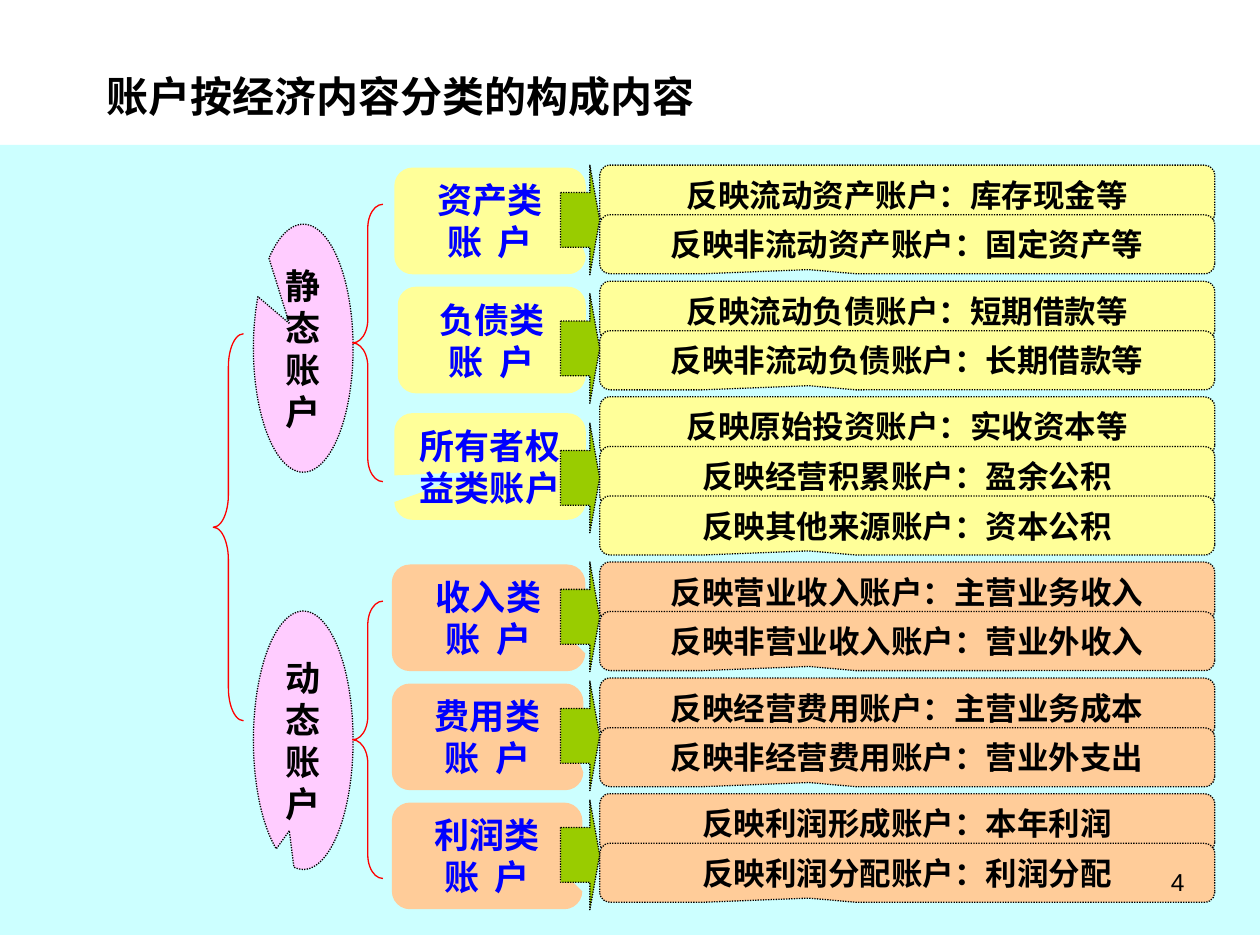
from pptx import Presentation
from pptx.dml.color import RGBColor
from pptx.enum.dml import MSO_LINE
from pptx.enum.shapes import MSO_SHAPE
from pptx.enum.text import MSO_ANCHOR, PP_ALIGN
from pptx.oxml.ns import qn
from pptx.util import Cm, Pt
from lxml.etree import SubElement

BLACK = RGBColor(0x00, 0x00, 0x00)
BLUE = RGBColor(0x00, 0x00, 0xFF)
RED = RGBColor(0xFF, 0x00, 0x00)
CYAN = RGBColor(0xCC, 0xFF, 0xFF)
YELLOW = RGBColor(0xFF, 0xFF, 0x99)
ORANGE = RGBColor(0xFF, 0xCC, 0x99)
PINK = RGBColor(0xFF, 0xCC, 0xFF)
GREEN = RGBColor(0x99, 0xCC, 0x00)
CJK = "Noto Sans CJK SC"

deck = Presentation()
deck.slide_width, deck.slide_height = Cm(25.4), Cm(19.05)
page = deck.slides.add_slide(deck.slide_layouts[5])


def add_shape(kind, left, top, width, height, fill=None, line=None, dotted=True, adjust=()):
    shape = page.shapes.add_shape(kind, Cm(left), Cm(top), Cm(width), Cm(height))
    shape.shadow.inherit = False
    for index, value in enumerate(adjust):
        shape.adjustments[index] = value
    if fill is None:
        shape.fill.background()
    else:
        shape.fill.solid()
        shape.fill.fore_color.rgb = fill
    if line is None:
        shape.line.fill.background()
    else:
        shape.line.color.rgb = line
        shape.line.width = Pt(0.75)
        if dotted:
            shape.line.dash_style = MSO_LINE.ROUND_DOT
    return shape


def write(shape, text, size, color=BLACK, font=CJK, bold=True, align=PP_ALIGN.CENTER):
    frame = shape.text_frame
    frame.text = text
    frame.word_wrap = True
    for para in frame.paragraphs:
        para.alignment = align
        for span in para.runs:
            span.font.size = Pt(size)
            span.font.bold = bold
            span.font.name = font
            span.font.color.rgb = color
            SubElement(span.font._element, qn("a:ea")).set("typeface", CJK)


# Title
title = page.shapes.title
title.left, title.top, title.width, title.height = Cm(1.9), Cm(1.12), Cm(22.4), Cm(1.6)
write(title, "账户按经济内容分类的构成内容", 24, align=PP_ALIGN.LEFT)
title.text_frame.vertical_anchor = MSO_ANCHOR.MIDDLE

# Background panel
add_shape(MSO_SHAPE.RECTANGLE, 0, 2.92, 25.4, 15.93, CYAN)

# Account classes: name, left, top, width, callout tip, fill, arrow top, row top, rows
classes = [
    ("资产类\n账 户", 7.95, 3.38, 3.86, (0.44, 0.02), YELLOW, 3.33, 3.33,
     ["反映流动资产账户：库存现金等", "反映非流动资产账户：固定资产等"]),
    ("负债类\n账 户", 8.02, 5.78, 3.79, (0.47, 0.19), YELLOW, 5.92, 5.67,
     ["反映流动负债账户：短期借款等", "反映非流动负债账户：长期借款等"]),
    ("所有者权\n益类账户", 7.95, 8.33, 3.86, (-0.06, 0.05), YELLOW, 8.53, 8,
     ["反映原始投资账户：实收资本等", "反映经营积累账户：盈余公积", "反映其他来源账户：资本公积"]),
    ("收入类\n账 户", 7.9, 11.38, 3.9, (0.42, 0.19), ORANGE, 11.33, 11.33,
     ["反映营业收入账户：主营业务收入", "反映非营业收入账户：营业外收入"]),
    ("费用类\n账 户", 7.9, 13.78, 3.86, (0.47, 0.19), ORANGE, 13.73, 13.67,
     ["反映经营费用账户：主营业务成本", "反映非经营费用账户：营业外支出"]),
    ("利润类\n账 户", 7.9, 16.18, 3.84, (0.42, 0.19), ORANGE, 16.13, 16,
     ["反映利润形成账户：本年利润", "反映利润分配账户：利润分配"]),
]
for name, left, top, width, tip, fill, _, _, _ in classes:
    card = add_shape(MSO_SHAPE.ROUNDED_RECTANGULAR_CALLOUT, left, top, width, 2.15,
                     fill, adjust=(*tip, 0.17))
    write(card, name, 20, BLUE)
    for para in card.text_frame.paragraphs:
        if " " in para.text:  # widen the gap between the two characters
            para.runs[0].font._element.set("spc", "225")

# Static and dynamic groups
for text, top, height, tip in [("静态账户", 4.52, 5, (-0.14, -0.1)),
                               ("动态账户", 12.32, 5.21, (-0.14, 0.35))]:
    group = add_shape(MSO_SHAPE.OVAL_CALLOUT, 5.11, top, 2.01, height, PINK, BLACK, adjust=tip)
    write(group, text, 20, font="Arial")

# Braces
for left, top, height, curve in [(4.3, 6.73, 7.8, 1.08), (7.11, 4.12, 5.59, 0.78),
                                 (7.11, 12.12, 5.59, 0.78)]:
    add_shape(MSO_SHAPE.LEFT_BRACE, left, top, 0.61, height, line=RED, dotted=False,
              adjust=(curve, 0.5))

# Detail rows, one centimetre apart
for _, _, _, _, _, fill, _, first_top, rows in classes:
    for index, text in enumerate(rows):
        row = add_shape(MSO_SHAPE.ROUNDED_RECTANGULAR_CALLOUT, 12.09, first_top + index,
                        12.4, 1.19, fill, BLACK, adjust=(-0.16, 0.43, 0.17))
        write(row, text, 18)

# Arrows from classes to rows
for _, _, _, _, _, _, arrow_top, _, _ in classes:
    add_shape(MSO_SHAPE.RIGHT_ARROW, 11.3, arrow_top, 0.79, 2.21, GREEN, BLACK, adjust=(0.5, 0.25))

# Page number
number = page.shapes.add_textbox(Cm(18.2), Cm(17.35), Cm(5.93), Cm(1.32))
write(number, "4", 14, font="Arial", bold=False, align=PP_ALIGN.RIGHT)

deck.save("out.pptx")
